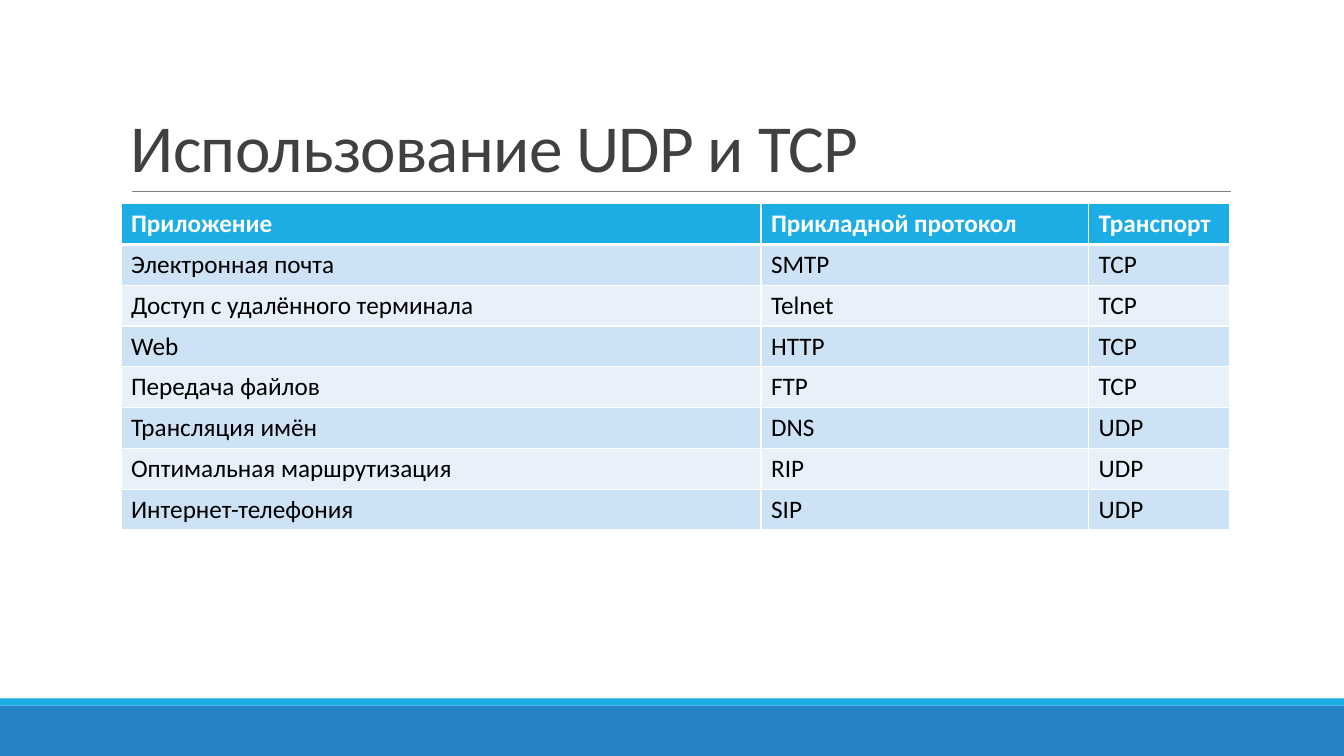
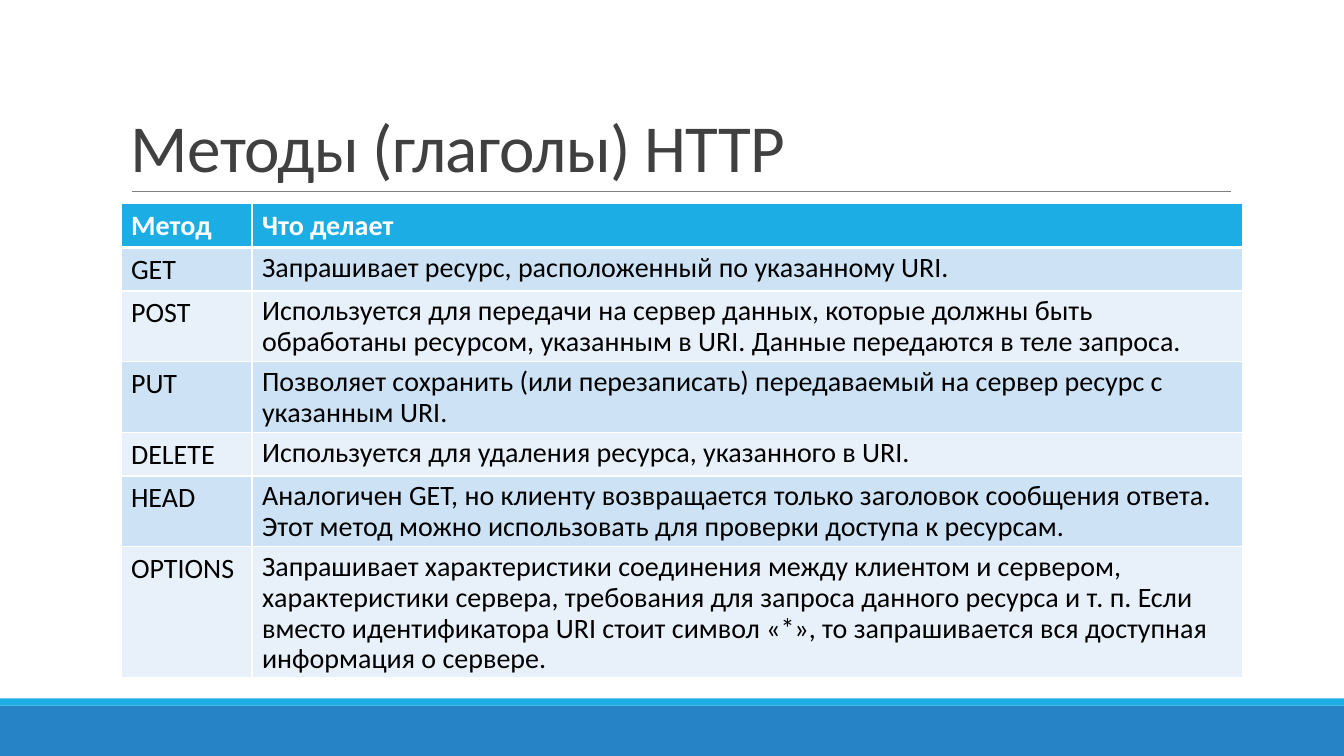
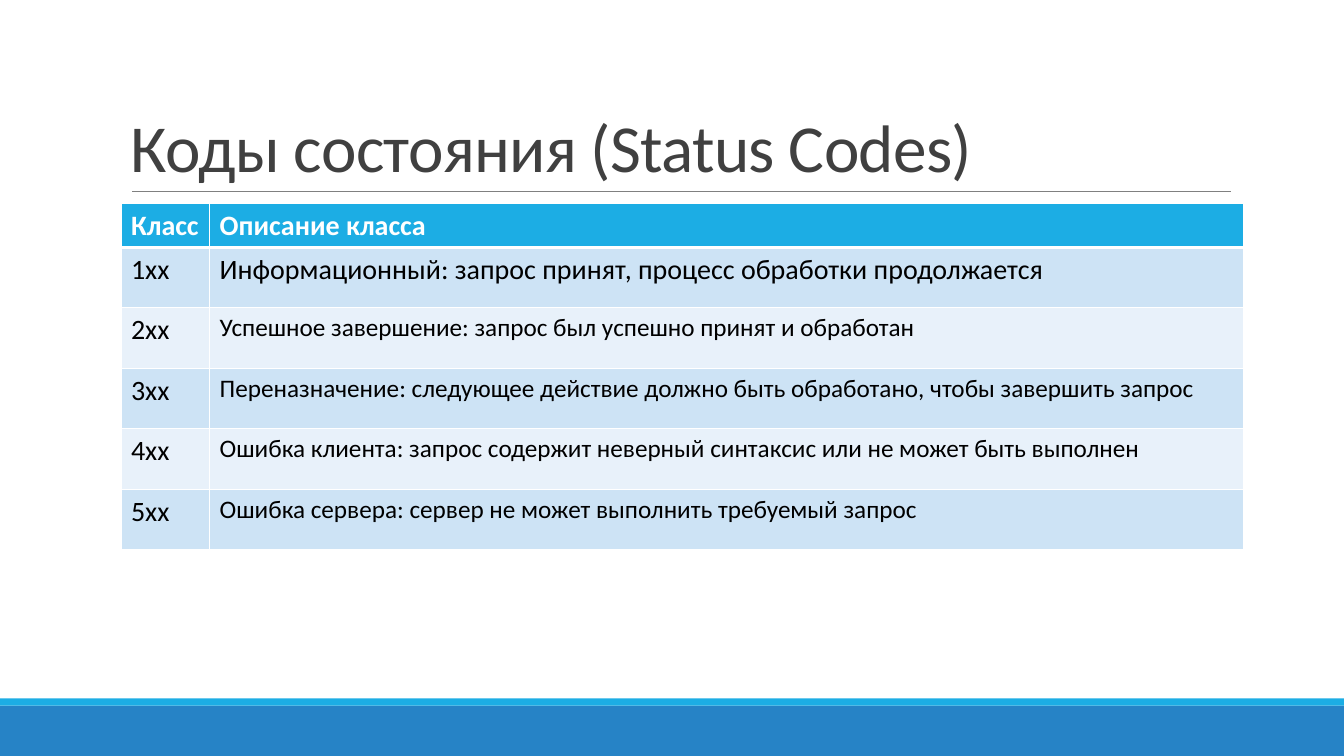
from lxml import etree
from pptx import Presentation
from pptx import util as u
from pptx.dml.color import RGBColor
from pptx.enum import shapes, text
from pptx.oxml import ns

CELL = u.Inches(0.1)  # one square of the layout grid
SLIDE_COLUMNS, SLIDE_ROWS = 133.33, 75
FONT = "Calibri"
WHITE = RGBColor(0xFF, 0xFF, 0xFF)
BLACK = RGBColor(0x00, 0x00, 0x00)
TITLE_GREY = RGBColor(0x40, 0x40, 0x40)
RULE_GREY = RGBColor(0x80, 0x80, 0x80)
SKY = RGBColor(0x1C, 0xAD, 0xE4)
BLUE = RGBColor(0x26, 0x83, 0xC6)
ROW_TINTS = RGBColor(0xE8, 0xF1, 0xFA), RGBColor(0xCD, 0xE3, 0xF5)


def grid(*lengths):
    """Turn grid columns and rows into slide lengths."""
    return [u.Emu(round(length * CELL)) for length in lengths]


def write(frame, words, size, color, bold=False, leading=None, tracking=None):
    paragraph = frame.paragraphs[0]
    if leading:
        paragraph.line_spacing = leading
    run = paragraph.add_run()
    run.text = words
    font = run.font
    font.name, font.size, font.bold = FONT, u.Pt(size), bold
    font.color.rgb = color
    if tracking:
        run._r.get_or_add_rPr().set("spc", str(round(tracking * 100)))


def set_borders(cell, **widths):
    """Draw white cell borders; sides are L, R, T, B with widths in points."""
    properties = cell._tc.get_or_add_tcPr()
    for side, width in widths.items():
        border = etree.SubElement(properties, ns.qn(f"a:ln{side}"), w=str(u.Pt(width)))
        fill = etree.SubElement(border, ns.qn("a:solidFill"))
        etree.SubElement(fill, ns.qn("a:srgbClr"), val=str(WHITE))


class Deck:
    def __init__(self):
        self.presentation = Presentation()
        size = grid(SLIDE_COLUMNS, SLIDE_ROWS)
        self.presentation.slide_width, self.presentation.slide_height = size
        self.slide = None

    def start_slide(self, title):
        self.slide = self.presentation.slides.add_slide(self.presentation.slide_layouts[6])
        self.band(70, 5, BLUE)
        self.band(69.3, 0.7, SKY)
        self.rule(13.1, 122.1, 19)
        self.title(title)

    def band(self, top, height, color):
        band = self.slide.shapes.add_shape(
            shapes.MSO_SHAPE.RECTANGLE, *grid(0, top, SLIDE_COLUMNS, height))
        band.shadow.inherit = False
        band.fill.solid()
        band.fill.fore_color.rgb = color
        band.line.fill.background()

    def rule(self, left, right, top):
        rule = self.slide.shapes.add_connector(
            shapes.MSO_CONNECTOR.STRAIGHT, *grid(left, top, right, top))
        rule.line.color.rgb = RULE_GREY
        rule.line.width = u.Pt(0.5)
        etree.SubElement(rule._element.spPr, ns.qn("a:effectLst"))

    def title(self, words):
        frame = self.slide.shapes.add_textbox(*grid(12, 3.1, 110, 15.9)).text_frame
        frame.word_wrap = True
        frame.vertical_anchor = text.MSO_ANCHOR.BOTTOM
        write(frame, words, 48, TITLE_GREY, leading=0.85, tracking=-0.5)

    def table(self, columns, records, size=20, row_height=4.05, detail=None):
        """Add a table; detail formats the last column of rows given by index."""
        heights = [4.05] + [row_height] * (len(records) - 1)
        table = self.slide.shapes.add_table(
            len(records), len(columns),
            *grid(12, 20.2, sum(columns), sum(heights))).table
        table.horz_banding = False
        for column, width in zip(table.columns, grid(*columns)):
            column.width = width
        for row, height in zip(table.rows, grid(*heights)):
            row.height = height
        for i, record in enumerate(records):
            header = i == 0
            for j, words in enumerate(record):
                cell = table.cell(i, j)
                set_borders(cell, L=1, R=1, T=3 if i == 1 else 1, B=3 if header else 1)
                cell.fill.solid()
                cell.fill.fore_color.rgb = SKY if header else ROW_TINTS[i % 2]
                style = {"size": size, "color": WHITE if header else BLACK, "bold": header}
                if detail and j == len(columns) - 1:
                    style.update(detail(i))
                write(cell.text_frame, words, **style)


def main():
    deck = Deck()

    deck.start_slide("Использование UDP и TCP")
    deck.table([63.5, 32.5, 14], [
        ("Приложение", "Прикладной протокол", "Транспорт"),
        ("Электронная почта", "SMTP", "TCP"),
        ("Доступ с удалённого терминала", "Telnet", "TCP"),
        ("Web", "HTTP", "TCP"),
        ("Передача файлов", "FTP", "TCP"),
        ("Трансляция имён", "DNS", "UDP"),
        ("Оптимальная маршрутизация", "RIP", "UDP"),
        ("Интернет-телефония", "SIP", "UDP"),
    ], size=18)

    deck.start_slide("Методы (глаголы) HTTP")
    deck.table([13, 98.3], [
        ("Метод", "Что делает"),
        ("GET", "Запрашивает ресурс, расположенный по указанному URI."),
        ("POST", "Используется для передачи на сервер данных, которые должны быть "
                 "обработаны ресурсом, указанным в URI. Данные передаются в теле запроса."),
        ("PUT", "Позволяет сохранить (или перезаписать) передаваемый на сервер ресурс "
                "с указанным URI."),
        ("DELETE", "Используется для удаления ресурса, указанного в URI."),
        ("HEAD", "Аналогичен GET, но клиенту возвращается только заголовок сообщения "
                 "ответа. Этот метод можно использовать для проверки доступа к ресурсам."),
        ("OPTIONS", "Запрашивает характеристики соединения между клиентом и сервером, "
                    "характеристики сервера, требования для запроса данного ресурса и "
                    "т. п. Если вместо идентификатора URI стоит символ «*», то "
                    "запрашивается вся доступная информация о сервере."),
    ], detail=lambda i: {"leading": 0.9} if i else {})

    deck.start_slide("Коды состояния (Status Codes)")
    deck.table([8.8, 102.6], [
        ("Класс", "Описание класса"),
        ("1xx", "Информационный: запрос принят, процесс обработки продолжается"),
        ("2xx", "Успешное завершение: запрос был успешно принят и обработан"),
        ("3хх", "Переназначение: следующее действие должно быть обработано, "
                "чтобы завершить запрос"),
        ("4хх", "Ошибка клиента: запрос содержит неверный синтаксис или не может "
                "быть выполнен"),
        ("5хх", "Ошибка сервера: сервер не может выполнить требуемый запрос"),
    ], row_height=6, detail=lambda i: {"size": 18} if i > 1 else {})

    deck.presentation.save("out.pptx")


if __name__ == "__main__":
    main()
